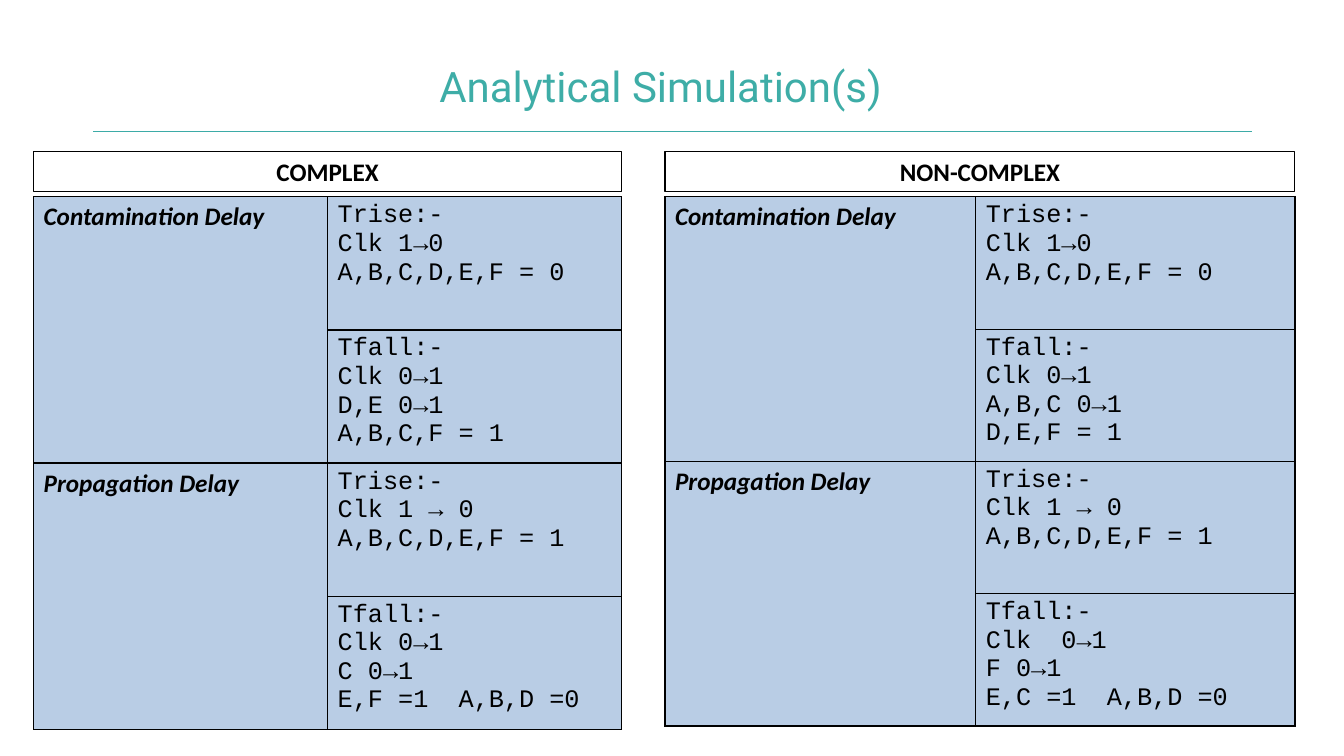
import pptx
import pptx.dml.color
import pptx.enum.shapes
import pptx.enum.text
import pptx.oxml
import pptx.oxml.ns
import pptx.util

Pt = pptx.util.Pt
TEAL = pptx.dml.color.RGBColor(0x3E, 0xAD, 0xA7)
RULE_TEAL = pptx.dml.color.RGBColor(0x3D, 0xAB, 0xA7)
BLACK = pptx.dml.color.RGBColor(0, 0, 0)
PALE_BLUE = pptx.dml.color.RGBColor(0xB9, 0xCD, 0xE5)


def style_font(font, name, size, color, bold=False, italic=False):
    font.name = name
    font.size = Pt(size)
    font.color.rgb = color
    font.bold = bold
    font.italic = italic


def style_cell(cell):
    properties = cell._tc.get_or_add_tcPr()
    for side in ("lnL", "lnR", "lnT", "lnB"):
        properties.append(pptx.oxml.parse_xml(
            f'<a:{side} {pptx.oxml.ns.nsdecls("a")} w="{Pt(1)}">'
            f'<a:solidFill><a:srgbClr val="{BLACK}"/></a:solidFill></a:{side}>'))
    cell.fill.solid()
    cell.fill.fore_color.rgb = PALE_BLUE


deck = pptx.Presentation()
deck.slide_width = Pt(960)
deck.slide_height = Pt(540)
page = deck.slides.add_slide(deck.slide_layouts[5])

rule = page.shapes.add_connector(
    pptx.enum.shapes.MSO_CONNECTOR.STRAIGHT, Pt(66.5), Pt(94), Pt(894), Pt(94))
rule.line.color.rgb = RULE_TEAL
rule.line.width = Pt(0.75)
rule._element.spPr.append(
    pptx.oxml.parse_xml(f'<a:effectLst {pptx.oxml.ns.nsdecls("a")}/>'))

title = page.shapes.title
title.left, title.top, title.width, title.height = Pt(55), Pt(39), Pt(834), Pt(44)
title.text_frame.text = "Analytical Simulation(s)"
title.text_frame.margin_top = title.text_frame.margin_bottom = 0
title.text_frame.vertical_anchor = pptx.enum.text.MSO_ANCHOR.MIDDLE
title_para = title.text_frame.paragraphs[0]
title_para.alignment = pptx.enum.text.PP_ALIGN.CENTER
style_font(title_para.font, "Roboto", 30, TEAL)

DELAYS = ["Contamination Delay", "Propagation Delay"]
PANELS = [
    ("COMPLEX", 24, (210, 210), 95.1, [
        "Trise:-\nClk 1→0\nA,B,C,D,E,F = 0",
        "Tfall:-\nClk 0→1\nD,E 0→1\nA,B,C,F = 1",
        "Trise:-\nClk 1 → 0\nA,B,C,D,E,F = 1",
        "Tfall:-\nClk 0→1\nC 0→1\nE,F =1  A,B,D =0",
    ]),
    ("NON-COMPLEX", 475, (222, 228), 94.5, [
        "Trise:-\nClk 1→0\nA,B,C,D,E,F = 0",
        "Tfall:-\nClk 0→1\nA,B,C 0→1\nD,E,F = 1",
        "Trise:-\nClk 1 → 0\nA,B,C,D,E,F = 1",
        "Tfall:-\nClk  0→1\nF 0→1\nE,C =1  A,B,D =0",
    ]),
]

for heading, left, widths, row_height, conditions in PANELS:
    width = sum(widths)
    table = page.shapes.add_table(
        4, 2, Pt(left), Pt(140.6), Pt(width), Pt(4 * row_height)).table
    for column, column_width in zip(table.columns, widths):
        column.width = Pt(column_width)
    for row in table.rows:
        row.height = Pt(row_height)
    for cell in table.iter_cells():
        style_cell(cell)

    for index, delay in enumerate(DELAYS):
        label = table.cell(2 * index, 0)
        label.merge(table.cell(2 * index + 1, 0))
        label.text = delay
        style_font(label.text_frame.paragraphs[0].font, "Calibri", 18, BLACK, True, True)
    for index, condition in enumerate(conditions):
        cell = table.cell(index, 1)
        cell.text = condition
        for para in cell.text_frame.paragraphs:
            style_font(para.font, "Courier New", 18, BLACK)

    box = page.shapes.add_shape(
        pptx.enum.shapes.MSO_SHAPE.RECTANGLE, Pt(left), Pt(108), Pt(width), Pt(29))
    box.shadow.inherit = False
    box.fill.background()
    box.line.color.rgb = BLACK
    box.line.width = Pt(0.75)
    box.text_frame.text = heading
    heading_para = box.text_frame.paragraphs[0]
    heading_para.alignment = pptx.enum.text.PP_ALIGN.CENTER
    style_font(heading_para.font, "Calibri", 18, BLACK, True)

deck.save("out.pptx")
